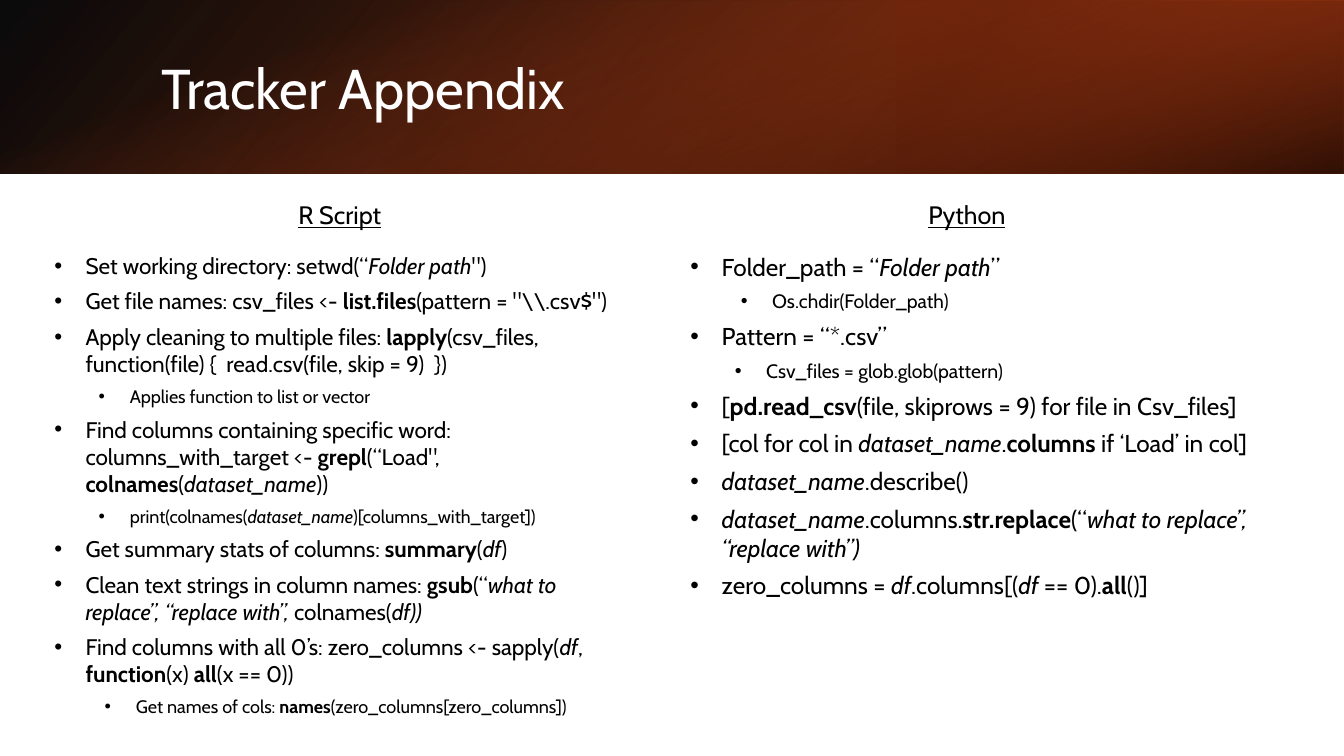
from lxml import etree
from pptx import Presentation
from pptx.dml.color import RGBColor
from pptx.enum.shapes import MSO_SHAPE
from pptx.enum.text import MSO_ANCHOR, PP_ALIGN
from pptx.oxml.ns import qn
from pptx.util import Emu, Pt

PX = 9144
FONT = "Cabin"
BLACK = RGBColor(0x00, 0x00, 0x00)
WHITE = RGBColor(0xFF, 0xFF, 0xFF)
RUST = RGBColor(0x9E, 0x36, 0x11)
BROWN = RGBColor(0x69, 0x24, 0x0C)
ORANGE = RGBColor(0xD3, 0x48, 0x17)
RECT = MSO_SHAPE.RECTANGLE
MIDDLE = MSO_ANCHOR.MIDDLE
TOP = MSO_ANCHOR.TOP
LEFT = PP_ALIGN.LEFT
CENTER = PP_ALIGN.CENTER

HANG = 31
SUB = 75
DEEP_SUB = 81

R_ITEMS = [
    (HANG, [("Set working directory: setwd(“", ""), ("Folder path", "i"), ('")', "")]),
    (HANG, [("Get file names: csv_files <- ", ""), ("list.files", "b"),
            ('(pattern = "\\\\.csv$")', "")]),
    (HANG, [("Apply cleaning to multiple files: ", ""), ("lapply", "b"),
            ("(csv_files, function(file) {  read.csv(file, skip = 9)  })", "")]),
    (SUB, [("Applies function to list or vector", "")]),
    (HANG, [("Find columns containing specific word: columns_with_target <- ", ""),
            ("grepl", "b"), ('(“Load", ', ""), ("colnames", "b"), ("(", ""),
            ("dataset_name", "i"), ("))", "")]),
    (SUB, [("print(colnames(", ""), ("dataset_name", "i"),
           (")[columns_with_target])", "")]),
    (HANG, [("Get summary stats of columns: ", ""), ("summary", "b"), ("(", ""),
            ("df", "i"), (")", "")]),
    (HANG, [("Clean text strings in column names: ", ""), ("gsub", "b"), ("(“", ""),
            ("what to replace”, “replace with”, ", "i"), ("colnames(", ""),
            ("df))", "i")]),
    (HANG, [("Find columns with all 0’s: zero_columns <- sapply(", ""), ("df", "i"),
            (", ", ""), ("function", "b"), ("(x) ", ""), ("all", "b"),
            ("(x == 0))", "")]),
    (DEEP_SUB, [("Get names of cols: ", ""), ("names", "b"),
                ("(zero_columns[zero_columns])", "")]),
]

PYTHON_ITEMS = [
    (HANG, [("Folder_path = “", ""), ("Folder path", "i"), ("”", "")]),
    (DEEP_SUB, [("Os.chdir(Folder_path)", "")]),
    (HANG, [("Pattern = “*.csv”", "")]),
    (SUB, [("Csv_files = glob.glob(pattern)", "")]),
    (HANG, [("[", ""), ("pd.read_csv", "b"),
            ("(file, skiprows = 9) for file in Csv_files]", "")]),
    (HANG, [("[col for col in ", ""), ("dataset_name", "i"), (".", ""),
            ("columns", "b"), (" if ‘Load’ in col]", "")]),
    (HANG, [("dataset_name", "i"), (".describe()", "")]),
    (HANG, [("dataset_name", "i"), (".columns.", ""), ("str.replace", "b"),
            ("(“", ""), ("what to replace”, “replace with”)", "i")]),
    (HANG, [("zero_columns = ", ""), ("df", "i"), (".columns[(", ""), ("df", "i"),
            (" == 0).", ""), ("all", "b"), ("()]", "")]),
]


def px(*values):
    return [Emu(v * PX) for v in values]


def add_band(s, box, stops, angle, rotation=0, flip=False):
    sp = s.shapes.add_shape(RECT, *px(*box))
    sp.shadow.inherit = False
    sp.line.fill.background()
    sp.rotation = rotation
    sp.fill.gradient()
    sp.fill.gradient_angle = 360 - angle
    for stop, (position, color, opacity) in zip(sp.fill.gradient_stops, stops):
        stop.position = position / 100
        stop.color.rgb = color
    colors = sp._element.spPr.iter(qn("a:srgbClr"))
    for node, (position, color, opacity) in zip(colors, stops):
        etree.SubElement(node, qn("a:alpha"), val=str(opacity * 1000))
    if flip:
        sp._element.spPr.find(qn("a:xfrm")).set("flipH", "1")


def add_textbox(s, box, anchor=TOP):
    tf = s.shapes.add_textbox(*px(*box)).text_frame
    tf.word_wrap = True
    tf.vertical_anchor = anchor
    return tf


def add_run(p, text, size, color=BLACK, style=""):
    r = p.add_run()
    r.text = text
    r.font.name = FONT
    r.font.size = Pt(size)
    r.font.color.rgb = color
    r.font.bold = "b" in style
    r.font.italic = "i" in style
    r.font.underline = "u" in style


def add_line(s, box, text, size, color=BLACK, style="", align=LEFT, anchor=TOP):
    p = add_textbox(s, box, anchor).paragraphs[0]
    p.alignment = align
    add_run(p, text, size, color, style)


def set_bullet(p, margin):
    pPr = p._p.get_or_add_pPr()
    pPr.set("marL", str(margin * PX))
    pPr.set("indent", str(-HANG * PX))
    etree.SubElement(pPr, qn("a:buFont"), typeface="Arial")
    etree.SubElement(pPr, qn("a:buChar"), char="•")


def add_bullets(s, box, items, size, sub_size):
    tf = add_textbox(s, box)
    for i, (margin, runs) in enumerate(items):
        p = tf.paragraphs[0] if i == 0 else tf.add_paragraph()
        p.level = int(margin > HANG)
        p.space_after = Pt(6)
        set_bullet(p, margin)
        for text, style in runs:
            add_run(p, text, sub_size if p.level else size, style=style)


def main():
    prs = Presentation()
    prs.slide_width, prs.slide_height = px(1333, 750)
    s = prs.slides.add_slide(prs.slide_layouts[6])

    add_band(s, (0, 0, 1333, 172), [(0, BLACK, 96), (100, RUST, 100)], 140, flip=True)
    add_band(s, (889, 0, 444, 172), [(19, BROWN, 68), (100, ORANGE, 79)], 320,
             rotation=180, flip=True)
    add_band(s, (580, -580, 172, 1333), [(23, ORANGE, 0), (99, BLACK, 74)], 340,
             rotation=90)
    add_line(s, (150, 38, 1098, 96), "Tracker Appendix", 40, WHITE, anchor=MIDDLE)

    add_line(s, (89, 193, 496, 52), "R Script", 18, style="u", align=CENTER)
    add_bullets(s, (44, 245, 587, 467), R_ITEMS, 16.1, 12.9)
    add_line(s, (710, 193, 498, 52), "Python", 18, style="u", align=CENTER)
    add_bullets(s, (675, 245, 614, 467), PYTHON_ITEMS, 17.4, 13.9)

    prs.save("out.pptx")


if __name__ == "__main__":
    main()
